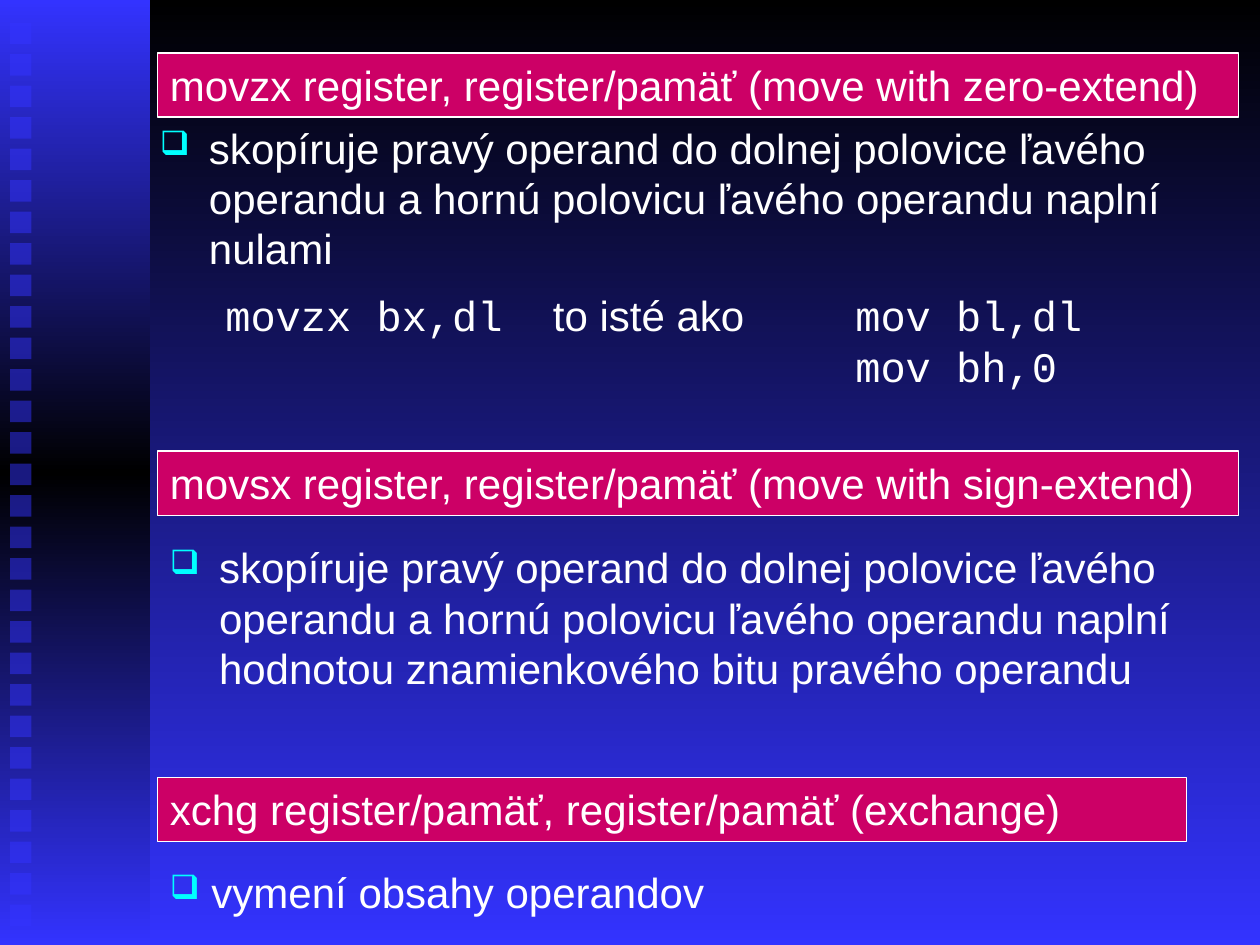
from copy import deepcopy

from lxml.etree import SubElement
from pptx import Presentation
from pptx.dml.color import RGBColor
from pptx.enum.shapes import MSO_SHAPE as Shape
from pptx.enum.text import MSO_ANCHOR as Anchor, PP_ALIGN as Align
from pptx.oxml.ns import qn
from pptx.util import Inches, Pt

COLORS = {"black": "000000", "blue": "3333FF", "pink": "CC0066",
          "white": "FFFFFF", "cyan": "00FFFF"}
BODY, CODE = "Arial", "Courier New"

HEADINGS = [
    ("movzx register, register/pamäť (move with zero-extend)", 0.42, 8.58),
    ("movsx register, register/pamäť (move with sign-extend)", 3.58, 8.58),
    ("xchg register/pamäť, register/pamäť (exchange)", 6.17, 8.17),
]
COPIES = "skopíruje pravý operand do dolnej polovice ľavého operandu a hornú polovicu ľavého operandu naplní "
EXPLANATIONS = [
    (COPIES + "nulami", (1.17, 0.92, 8.58, 1.31), 0.39),
    (COPIES + "hodnotou znamienkového bitu pravého operandu", (1.25, 4.25, 8.75, 1.31), 0.39),
    ("vymení obsahy operandov", (1.25, 6.83, 8.75, 0.5), 0.33),
]
EXAMPLE = [
    [("movzx bx,dl\t", CODE), ("to isté ako\t", BODY), ("mov bl,dl", CODE)],
    [("\t\tmov bh,0", CODE)],
]
EXAMPLE_TABS = (2.6, 5)
SQUARES, SQUARE_TOP, SQUARE_STEP, SQUARE_SIZE = 29, 0.18, 0.25, 0.17


def rgb(name):
    return RGBColor.from_string(COLORS[name])


def set_gradient(fill, element, names):
    fill.gradient()
    fill.gradient_angle = 270
    stops = element.find(".//" + qn("a:gsLst"))
    while len(stops) < len(names):
        stops.append(deepcopy(stops[0]))
    for i, (stop, name) in enumerate(zip(fill.gradient_stops, names)):
        stop.color.rgb = rgb(name)
        stop.position = i / (len(names) - 1)


def add_rect(left, top, width, height):
    rect = slide.shapes.add_shape(Shape.RECTANGLE, *map(Inches, (left, top, width, height)))
    rect.shadow.inherit = False
    rect.line.fill.background()
    return rect


def add_box(left, top, width, height):
    return slide.shapes.add_textbox(*map(Inches, (left, top, width, height)))


def write(shape, lines, *, size=24, color="white", hang=0, tabs=()):
    frame = shape.text_frame
    frame.word_wrap = True
    frame.vertical_anchor = Anchor.TOP
    for i, runs in enumerate(lines):
        paragraph = frame.add_paragraph() if i else frame.paragraphs[0]
        paragraph.alignment = Align.LEFT
        for text, font in runs:
            run = paragraph.add_run()
            run.text = text
            run.font.name, run.font.size = font, Pt(size)
            run.font.color.rgb = rgb(color)
        props = paragraph._p.get_or_add_pPr()
        if hang:
            props.set("marL", str(Inches(hang)))
            props.set("indent", str(-Inches(hang)))
            bullet_color = SubElement(props, qn("a:buClr"))
            SubElement(bullet_color, qn("a:srgbClr"), val=COLORS["cyan"])
            SubElement(props, qn("a:buSzPct"), val="80000")
            SubElement(props, qn("a:buChar"), char="❑")
        if tabs:
            tab_list = SubElement(props, qn("a:tabLst"))
            for tab in tabs:
                SubElement(tab_list, qn("a:tab"), pos=str(Inches(tab)), algn="l")


deck = Presentation()
deck.slide_width, deck.slide_height = Inches(10), Inches(7.5)
slide = deck.slides.add_slide(deck.slide_layouts[6])
set_gradient(slide.background.fill, slide.element, ("black", "blue"))

rail = add_rect(0, 0, 1.19, 7.5)
set_gradient(rail.fill, rail.element, ("blue", "black", "blue"))

for i in range(SQUARES):
    square = add_rect(0.08, SQUARE_TOP + i * SQUARE_STEP, SQUARE_SIZE, SQUARE_SIZE)
    square.fill.solid()
    square.fill.fore_color.rgb = rgb("blue")
    SubElement(square.element.find(".//" + qn("a:srgbClr")), qn("a:alpha"), val="50000")

for text, top, width in HEADINGS:
    heading = add_rect(1.25, top, width, 0.51)
    heading.fill.solid()
    heading.fill.fore_color.rgb = rgb("pink")
    heading.line.color.rgb = rgb("white")
    heading.line.width = Pt(0.75)
    write(heading, [[(text, BODY)]])

for text, place, hang in EXPLANATIONS:
    write(add_box(*place), [[(text, BODY)]], hang=hang)

write(add_box(1.69, 2.25, 8.3, 0.91), EXAMPLE, tabs=EXAMPLE_TABS)

deck.save("out.pptx")
